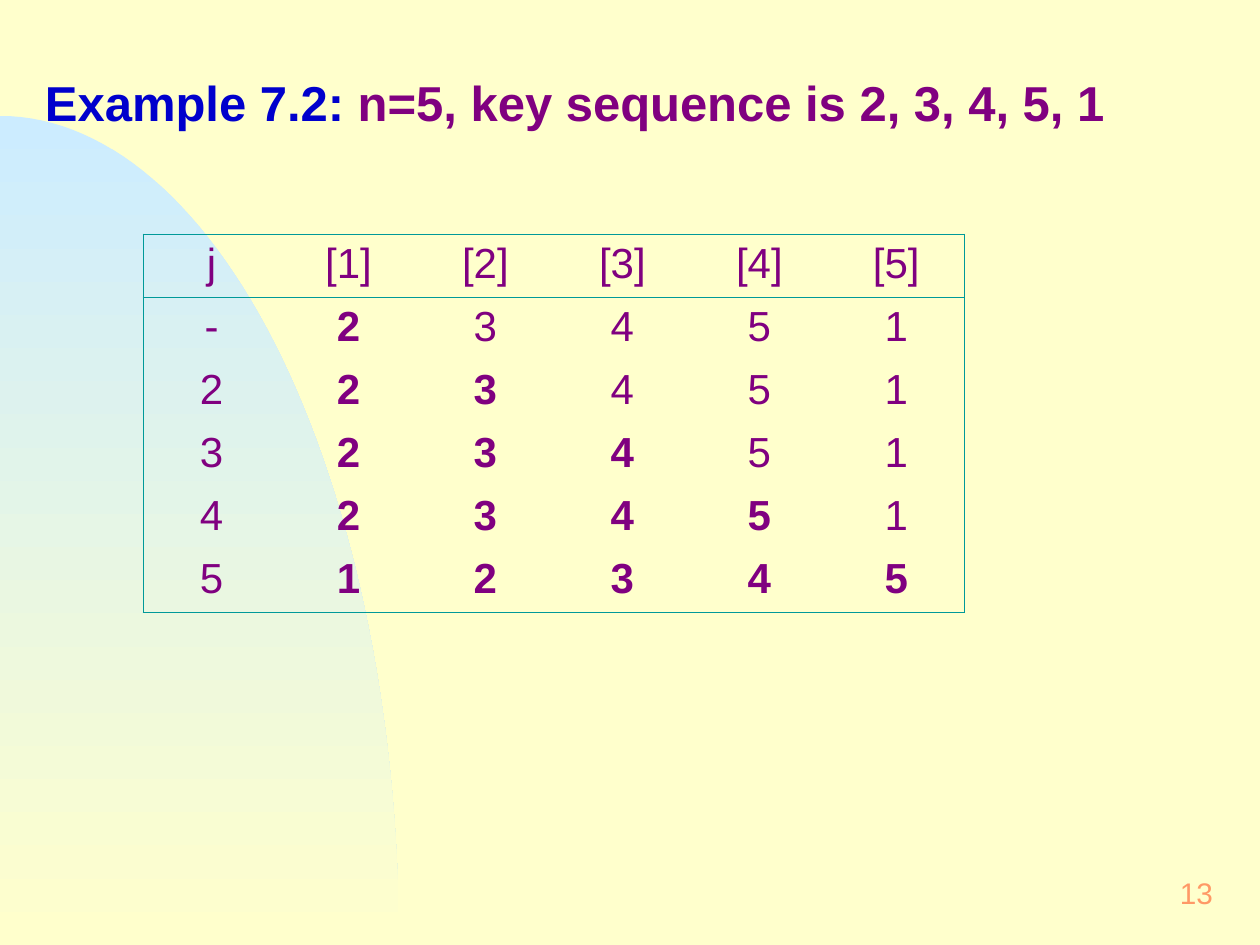
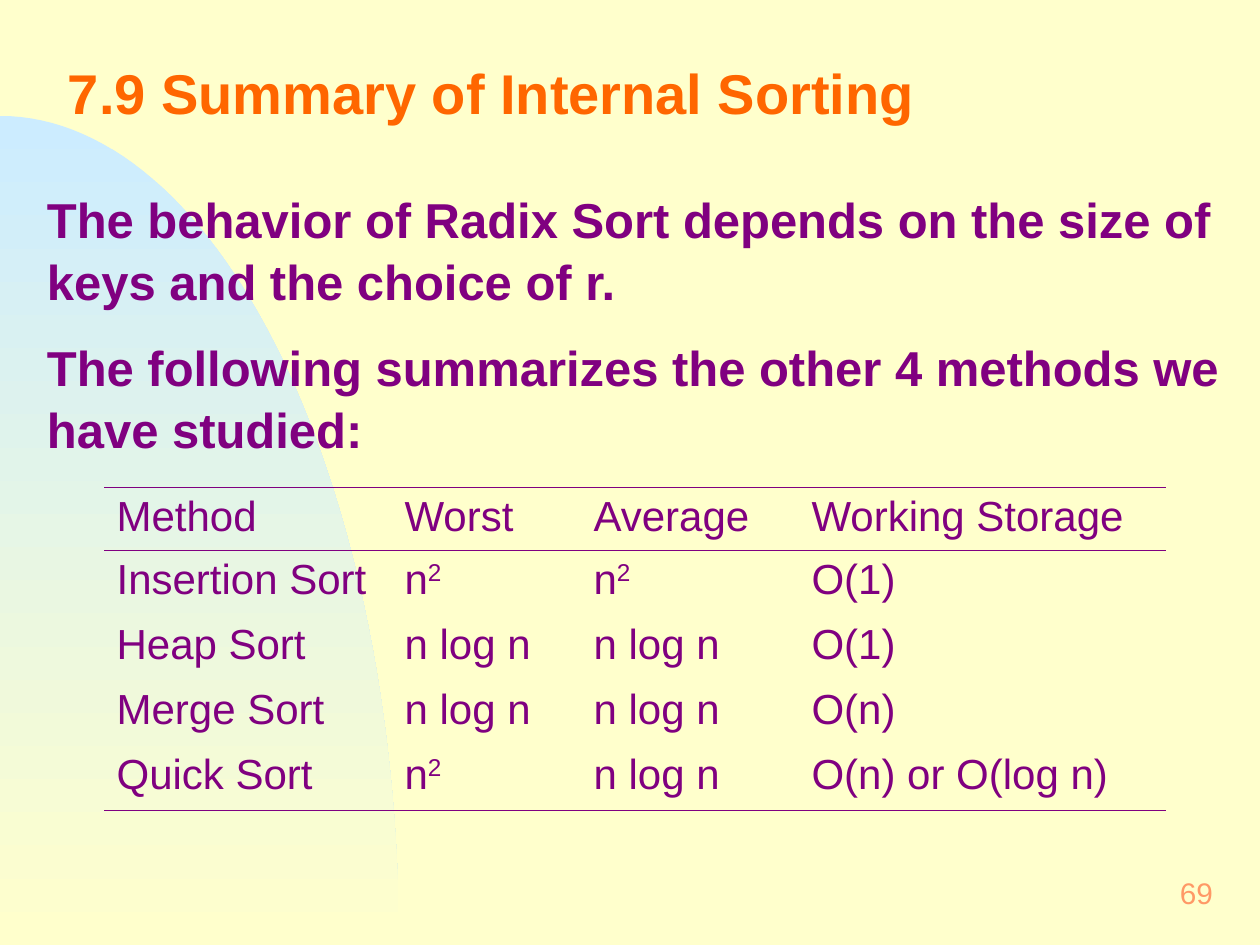
from math import cos, pi, sin

from lxml.etree import SubElement
from pptx import Presentation
from pptx.dml.color import RGBColor
from pptx.enum.text import MSO_ANCHOR as Anchor, MSO_AUTO_SIZE as AutoSize, PP_ALIGN as Align
from pptx.oxml.ns import qn
from pptx.util import Pt

EMU_PER_PX = 914400 / 126
SLIDE_W, SLIDE_H = 1260, 945
FONT = "Arial"
COLORS = {
    "background": "FFFFCC",
    "arc": "CCECFF",
    "text": "800080",
    "label": "0000CC",
    "heading": "FF6600",
    "number": "FF9966",
    "grid": "009999",
}
WIDE_INSET = (15, 8)
NARROW_INSET = (13, 6)
SQUARED = ["n", ("2", {"raised": True})]
LINEAR_LOG = ["n log n"]


def px(length):
    return round(length * EMU_PER_PX)


def rgb(name):
    return RGBColor.from_string(COLORS[name])


def write(frame, paragraphs, size, color="text", bold=False, align=Align.LEFT,
          spacing=1.0, gap=0, inset=NARROW_INSET, anchor=Anchor.TOP):
    """Fill a frame; a paragraph is a list of strings or (string, overrides) runs."""
    frame.word_wrap = True
    frame.auto_size = AutoSize.NONE
    frame.vertical_anchor = anchor
    frame.margin_left = frame.margin_right = px(inset[0])
    frame.margin_top = frame.margin_bottom = px(inset[1])
    for index, runs in enumerate(paragraphs):
        paragraph = frame.add_paragraph() if index else frame.paragraphs[0]
        properties = paragraph._p.get_or_add_pPr()
        properties.set("marL", "0")
        properties.set("indent", "0")
        SubElement(properties, qn("a:buNone"))
        paragraph.alignment = align
        paragraph.line_spacing = spacing
        paragraph.space_before = Pt(gap if index else 0)
        for item in runs:
            text, override = (item, {}) if isinstance(item, str) else item
            run = paragraph.add_run()
            run.text = text
            run.font.name = FONT
            run.font.size = Pt(size)
            run.font.bold = override.get("bold", bold)
            run.font.color.rgb = rgb(override.get("color", color))
            if override.get("raised"):
                run._r.get_or_add_rPr().set("baseline", "30000")


def place(shape, box):
    shape.left, shape.top, shape.width, shape.height = map(px, box)
    return shape.text_frame


def draw_arc(master, slide, box, steps=60):
    """Build the quarter ellipse on a slide and move it behind the master's parts."""
    left, top, width, height = box
    curve = [(px(left + width * sin(pi / 2 * i / steps)),
              px(top + height * (1 - cos(pi / 2 * i / steps)))) for i in range(steps + 1)]
    builder = slide.shapes.build_freeform(*curve[0])
    builder.add_line_segments(curve[1:] + [(px(left), px(top + height))], close=True)
    arc = builder.convert_to_shape()
    arc.shadow.inherit = False
    arc.line.fill.background()
    arc.fill.gradient()
    arc.fill.gradient_angle = 270
    for stop, name in zip(arc.fill.gradient_stops, ("arc", "background")):
        stop.color.rgb = rgb(name)
    master.element.cSld.spTree.insert(2, arc.element)


def add_page_number(slide, number):
    box = slide.shapes.add_textbox(*map(px, (966, 861, 262, 63)))
    write(box.text_frame, [[str(number)]], 17, "number", align=Align.RIGHT,
          inset=WIDE_INSET, anchor=Anchor.MIDDLE)


def set_borders(cell, edges, color):
    """Draw the sides named in edges (L, R, T, B) and clear the others."""
    properties = cell._tc.get_or_add_tcPr()
    for side in "LRTB":
        line = SubElement(properties, qn(f"a:ln{side}"), w=str(Pt(0.45)))
        if side in edges:
            fill = SubElement(line, qn("a:solidFill"))
            SubElement(fill, qn("a:srgbClr"), val=COLORS[color])
        else:
            SubElement(line, qn("a:noFill"))


def add_ruled_table(slide, left, top, widths, heights, rows, color, framed=False,
                    align=Align.LEFT):
    """Add a table ruled around its header and at its foot, with sides if framed."""
    box = map(px, (left, top, sum(widths), sum(heights)))
    table = slide.shapes.add_table(len(rows), len(widths), *box).table
    table.first_row = table.horz_banding = False
    for column, width in zip(table.columns, widths):
        column.width = px(width)
    for row, height in zip(table.rows, heights):
        row.height = px(height)
    last_row, last_column = len(rows) - 1, len(widths) - 1
    for r, row in enumerate(rows):
        for c, runs in enumerate(row):
            cell = table.cell(r, c)
            edges = {"T"} if r < 2 else set()
            if r in (0, last_row):
                edges.add("B")
            if framed and c == 0:
                edges.add("L")
            if framed and c == last_column:
                edges.add("R")
            set_borders(cell, edges, color)
            cell.fill.background()
            write(cell.text_frame, [runs], 24, align=align)


def fill_example_slide(slide):
    write(place(slide.shapes.title, (32, 58, 1207, 78)),
          [[("Example 7.2:", {"color": "label"}), " n=5, key sequence is 2, 3, 4, 5, 1"]],
          28, bold=True, spacing=1.15)
    keys = [2, 3, 4, 5, 1]
    rows = [[["j"]] + [[f"[{i}]"] for i in range(1, len(keys) + 1)]]
    for j in range(1, len(keys) + 1):
        passes = sorted(keys[:j]) + keys[j:]
        rows.append([["-" if j == 1 else str(j)]]
                    + [[(str(key), {"bold": i < j})] for i, key in enumerate(passes)])
    add_ruled_table(slide, 143, 234, [137] * 6, [63] * 6, rows, "grid",
                    framed=True, align=Align.CENTER)
    add_page_number(slide, 13)


def fill_summary_slide(slide):
    write(place(slide.shapes.title, (53, 42, 1166, 116)),
          [["7.9 Summary of Internal Sorting"]], 32, "heading", bold=True,
          spacing=0.7, inset=WIDE_INSET, anchor=Anchor.MIDDLE)
    write(place(slide.placeholders[1], (32, 179, 1207, 276)),
          [["The behavior of Radix Sort depends on the size of keys and the choice of r."],
           ["The following summarizes the other 4 methods we have studied:"]],
          28, bold=True, spacing=1.05, gap=14, inset=WIDE_INSET)
    rows = [
        [["Method"], ["Worst"], ["Average"], ["Working Storage"]],
        [["Insertion Sort"], SQUARED, SQUARED, ["O(1)"]],
        [["Heap Sort"], LINEAR_LOG, LINEAR_LOG, ["O(1)"]],
        [["Merge Sort"], LINEAR_LOG, LINEAR_LOG, ["O(n)"]],
        [["Quick Sort"], SQUARED, LINEAR_LOG, ["O(n) or O(log n)"]],
    ]
    add_ruled_table(slide, 104, 487, [288, 189, 218, 367], [63] + [65] * 4, rows, "text")
    add_page_number(slide, 69)


def main():
    deck = Presentation()
    deck.slide_width, deck.slide_height = px(SLIDE_W), px(SLIDE_H)
    master = deck.slide_master
    master.background.fill.solid()
    master.background.fill.fore_color.rgb = rgb("background")
    title_and_body, title_only = deck.slide_layouts[1], deck.slide_layouts[5]
    example = deck.slides.add_slide(title_only)
    draw_arc(master, example, (0, 116, 399, 829))
    fill_example_slide(example)
    fill_summary_slide(deck.slides.add_slide(title_and_body))
    deck.save("out.pptx")


if __name__ == "__main__":
    main()
